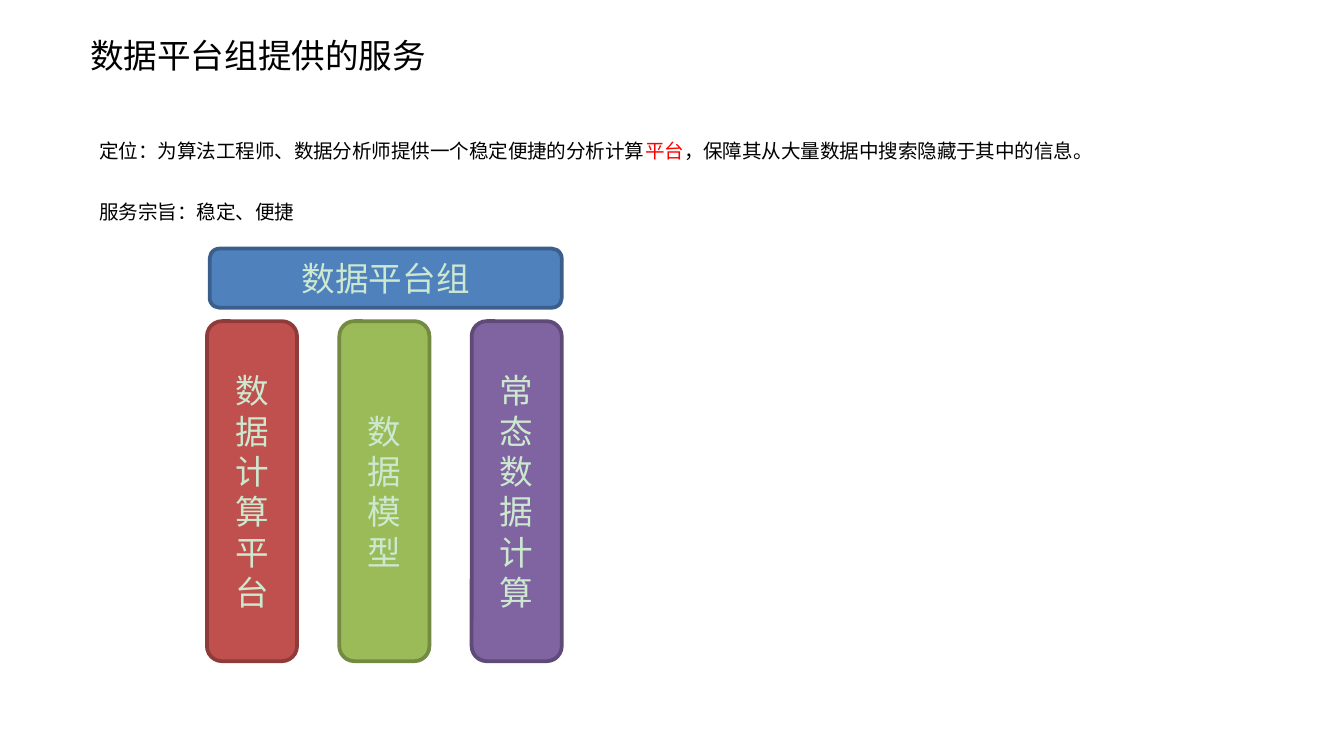
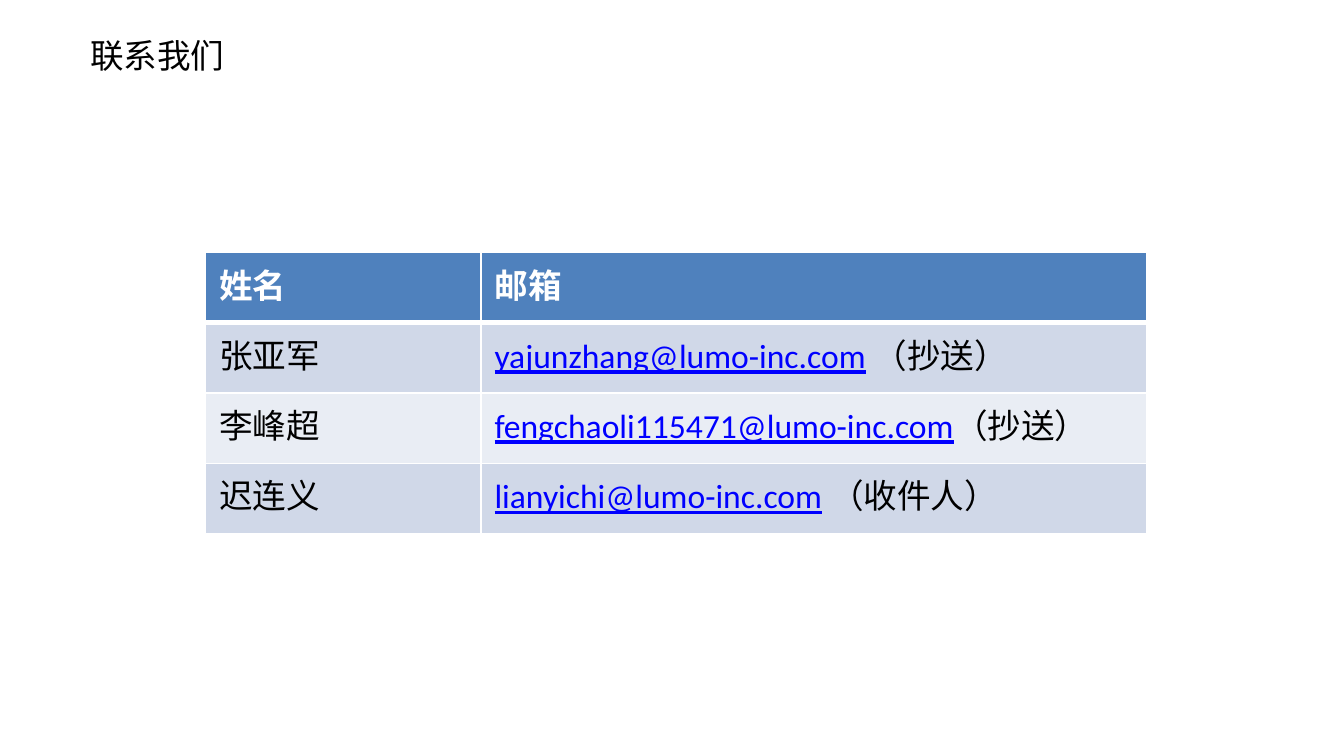
from pptx import Presentation
from pptx.dml.color import RGBColor
from pptx.enum.shapes import MSO_SHAPE
from pptx.enum.text import MSO_ANCHOR, MSO_AUTO_SIZE, PP_ALIGN
from pptx.oxml.ns import qn
from pptx.util import Inches, Pt
from lxml import etree

ROUNDED = MSO_SHAPE.ROUNDED_RECTANGLE
TOP, MIDDLE = MSO_ANCHOR.TOP, MSO_ANCHOR.MIDDLE
LEFT, CENTER, JUSTIFY = PP_ALIGN.LEFT, PP_ALIGN.CENTER, PP_ALIGN.JUSTIFY
TITLE_LAYOUT, BODY_LAYOUT = 5, 1

PAGE_WIDTH = 10
PAGE_HEIGHT = PAGE_WIDTH * 9 / 16
HAN_FONT, SHAPE_FONT, TABLE_FONT = "Noto Sans CJK SC", "Arial", "Calibri"
BLACK, WHITE, RED, LINK_BLUE = "000000", "FFFFFF", "FF0000", "0000FF"
BLUE, PALE_GREEN = "4F81BD", "CCE8CF"
BANDS = ["D0D8E8", "E9EDF4"]
LARGE, SMALL = 18, 10.5
LINE_HEIGHT = 1.2

SERVICES_TITLE = "数据平台组提供的服务"
MISSION = [
    [("定位：为算法工程师、数据分析师提供一个稳定便捷的分析计算", BLACK),
     ("平台", RED),
     ("，保障其从大量数据中搜索隐藏于其中的信息。", BLACK)],
    [("服务宗旨：稳定、便捷", BLACK)],
]
TEAM = ("数据平台组", BLUE, "3A5F8C")
PILLARS = [
    ("数据计算平台", "C0504D", "8E3B39"),
    ("数据模型", "9BBB59", "738A42"),
    ("常态数据计算", "8064A2", "5F4A78"),
]

CONTACT_TITLE = "联系我们"
CONTACT_HEADER = ["姓名", "邮箱"]
CONTACTS = [
    ("张亚军", "yajunzhang@lumo-inc.com", " （抄送）"),
    ("李峰超", "fengchaoli115471@lumo-inc.com", "（抄送）"),
    ("迟连义", "lianyichi@lumo-inc.com", " （收件人）"),
]
COLUMN_WIDTHS = [2.05, 4.95]
TABLE_HEIGHT = 2.09
THIN, THICK = 1, 3


def rgb(color):
    return RGBColor.from_string(color)


def add_span(para, text, size, font, color, bold=False, underline=False):
    span = para.add_run()
    span.text = text
    span.font.size = Pt(size)
    span.font.name = font
    span.font.bold = bold
    span.font.underline = underline
    span.font.color.rgb = rgb(color)
    east_asian = etree.SubElement(span.font._element, qn("a:ea"))
    east_asian.set("typeface", font)


def place(box, left, top, width, height):
    box.left, box.top = Inches(left), Inches(top)
    box.width, box.height = Inches(width), Inches(height)


def set_frame(frame, anchor):
    frame.word_wrap = True
    frame.auto_size = MSO_AUTO_SIZE.NONE
    frame.vertical_anchor = anchor


def set_para(para, align, line_points, before=0):
    para.alignment = align
    para.line_spacing = Pt(line_points)
    para.space_before = Pt(before)


def add_page(deck, layout, title):
    page = deck.slides.add_slide(deck.slide_layouts[layout])
    box = page.shapes.title
    place(box, 0.57, 0.21, 3.17, 0.4)
    set_frame(box.text_frame, TOP)
    para = box.text_frame.paragraphs[0]
    set_para(para, LEFT, LARGE * LINE_HEIGHT)
    add_span(para, title, LARGE, HAN_FONT, BLACK)
    return page


def fill_mission(body):
    place(body, 0.64, 0.93, 8.74, 0.78)
    frame = body.text_frame
    set_frame(frame, TOP)
    line_points = SMALL * LINE_HEIGHT * 1.3
    for index, spans in enumerate(MISSION):
        para = frame.add_paragraph() if index else frame.paragraphs[0]
        set_para(para, JUSTIFY, line_points, line_points if index else 0)
        properties = para._p.get_or_add_pPr()
        properties.set("marL", "0")
        properties.set("indent", "0")
        etree.SubElement(properties, qn("a:buNone"))
        for text, color in spans:
            add_span(para, text, SMALL, HAN_FONT, color)


def add_block(page, block, left, top, width, height):
    label, fill, outline = block
    box = page.shapes.add_shape(ROUNDED, Inches(left), Inches(top),
                                Inches(width), Inches(height))
    box.shadow.inherit = False
    box.fill.solid()
    box.fill.fore_color.rgb = rgb(fill)
    box.line.color.rgb = rgb(outline)
    box.line.width = Pt(2)
    set_frame(box.text_frame, MIDDLE)
    para = box.text_frame.paragraphs[0]
    set_para(para, CENTER, LARGE * LINE_HEIGHT)
    add_span(para, label, LARGE, SHAPE_FONT, PALE_GREEN)


def format_cell(cell, fill, top_line=THIN, bottom_line=THIN):
    """Set borders, fill and margin, and return the cell's paragraph."""
    properties = cell._tc.get_or_add_tcPr()
    borders = {"a:lnL": THIN, "a:lnR": THIN,
               "a:lnT": top_line, "a:lnB": bottom_line}
    for tag, width in borders.items():
        line = etree.SubElement(properties, qn(tag), w=str(Pt(width)))
        solid = etree.SubElement(line, qn("a:solidFill"))
        etree.SubElement(solid, qn("a:srgbClr"), val=WHITE)
    cell.fill.solid()
    cell.fill.fore_color.rgb = rgb(fill)
    cell.margin_top = Inches(0.1)
    return cell.text_frame.paragraphs[0]


def add_contacts(page):
    table = page.shapes.add_table(
        len(CONTACTS) + 1, len(COLUMN_WIDTHS), Inches(1.53), Inches(1.88),
        Inches(sum(COLUMN_WIDTHS)), Inches(TABLE_HEIGHT)).table
    for column, width in zip(table.columns, COLUMN_WIDTHS):
        column.width = Inches(width)
    for column, label in enumerate(CONTACT_HEADER):
        para = format_cell(table.cell(0, column), BLUE, bottom_line=THICK)
        add_span(para, label, LARGE, TABLE_FONT, WHITE, bold=True)
    for row, (name, address, role) in enumerate(CONTACTS, 1):
        band = BANDS[(row - 1) % len(BANDS)]
        top_line = THICK if row == 1 else THIN
        para = format_cell(table.cell(row, 0), band, top_line)
        add_span(para, name, LARGE, TABLE_FONT, BLACK)
        para = format_cell(table.cell(row, 1), band, top_line)
        add_span(para, address, LARGE, TABLE_FONT, LINK_BLUE, underline=True)
        add_span(para, role, LARGE, TABLE_FONT, BLACK)


def build_services(deck):
    page = add_page(deck, BODY_LAYOUT, SERVICES_TITLE)
    fill_mission(page.placeholders[1])
    add_block(page, TEAM, 1.56, 1.85, 2.62, 0.44)
    first_left, last_left = 1.54, 3.51
    step = (last_left - first_left) / (len(PILLARS) - 1)
    for index, pillar in enumerate(PILLARS):
        add_block(page, pillar, first_left + index * step, 2.39, 0.67, 2.53)


def build_contact(deck):
    page = add_page(deck, TITLE_LAYOUT, CONTACT_TITLE)
    add_contacts(page)


def main():
    deck = Presentation()
    deck.slide_width = Inches(PAGE_WIDTH)
    deck.slide_height = Inches(PAGE_HEIGHT)
    build_services(deck)
    build_contact(deck)
    deck.save("out.pptx")


if __name__ == "__main__":
    main()
